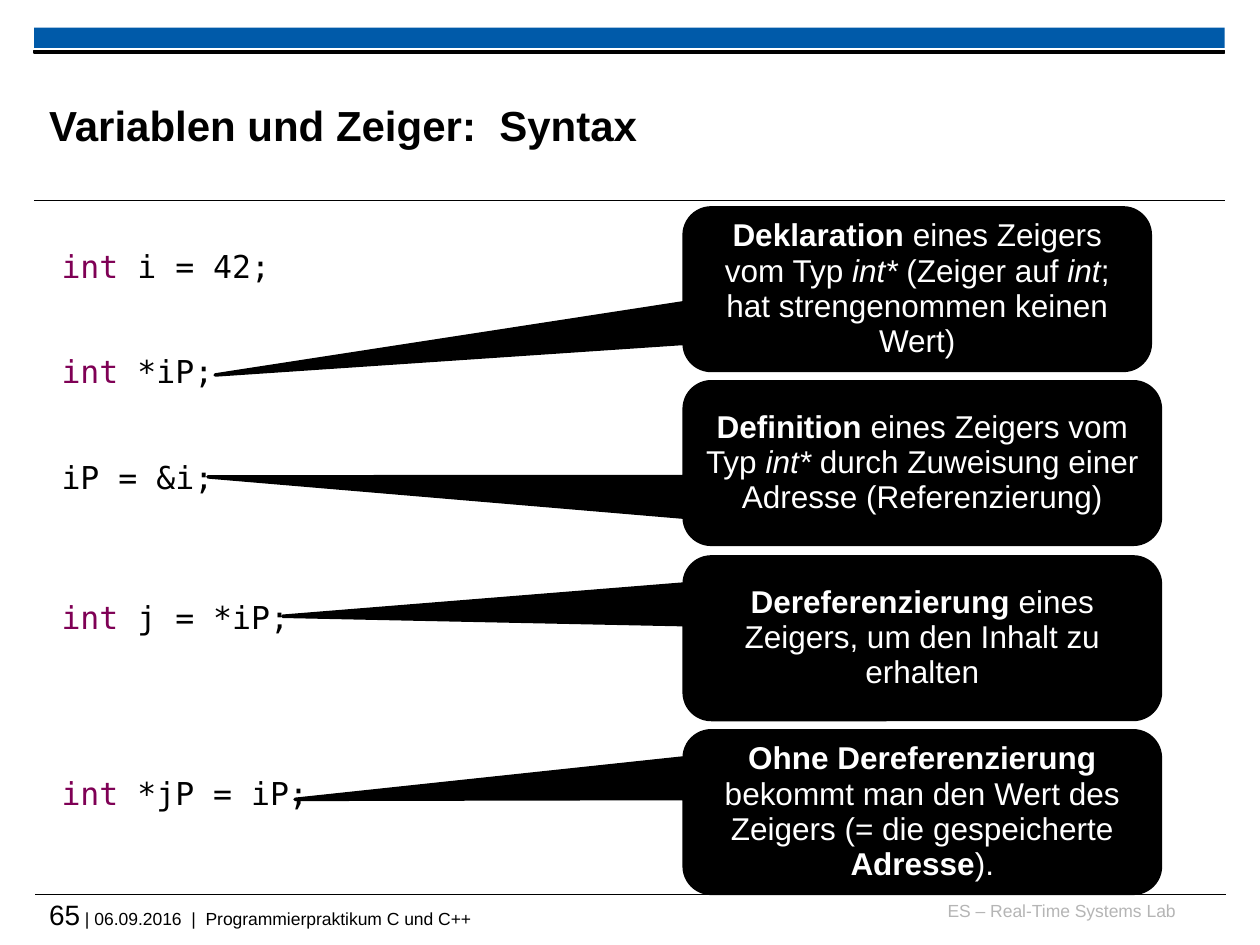
"""Build the slide on variable and pointer syntax in C."""
import pptx
import pptx.util
import pptx.dml.color
import pptx.enum.shapes
import pptx.enum.text
import pptx.oxml

Inches, Pt = pptx.util.Inches, pptx.util.Pt
RGBColor = pptx.dml.color.RGBColor
SHAPE = pptx.enum.shapes.MSO_SHAPE
ALIGN = pptx.enum.text.PP_ALIGN
ANCHOR = pptx.enum.text.MSO_ANCHOR

BLACK = RGBColor(0x00, 0x00, 0x00)
WHITE = RGBColor(0xFF, 0xFF, 0xFF)
BLUE = RGBColor(0x00, 0x5A, 0xA9)
GREY = RGBColor(0xB5, 0xB5, 0xB5)
KEYWORD = RGBColor(0x7F, 0x00, 0x55)

TITLE = "Variablen und Zeiger:  Syntax"
PAGE = "65"
FOOTER = " | 06.09.2016  |  Programmierpraktikum C und C++"
LAB = "ES – Real-Time Systems Lab"

CODE = [
    (0, "int", " i = 42;"),
    (2, "int", " *iP;"),
    (2, "", "iP = &i;"),
    (3, "int", " j = *iP;"),
    (4, "int", " *jP = iP;"),
]
CODE_PITCH = 20.1

CALLOUTS = [
    (1.65, 3.7, (-1.506, 0.528), [
        ("Deklaration ", "b"), ("eines Zeigers vom Typ ", ""), ("int* ", "i"),
        ("(Zeiger auf ", ""), ("int", "i"),
        ("; hat strengenommen keinen Wert)", "")]),
    (3.03, 3.78, (-1.5, 0.085), [
        ("Definition", "b"), (" eines Zeigers vom Typ ", ""), ("int*", "i"),
        (" durch Zuweisung einer Adresse (Referenzierung)", "")]),
    (4.42, 3.78, (-1.343, -0.135), [
        ("Dereferenzierung", "b"),
        (" eines Zeigers, um den Inhalt zu erhalten", "")]),
    (5.8, 3.78, (-1.317, -0.078), [
        ("Ohne Dereferenzierung ", "b"),
        ("bekommt man den Wert des Zeigers (= die gespeicherte ", ""),
        ("Adresse", "b"), (").", "")]),
]


def add_run(p, text, size, color, font="Arial", style=""):
    r = p.add_run()
    r.text = text
    r.font.name, r.font.size = font, Pt(size)
    r.font.bold, r.font.italic = "b" in style, "i" in style
    r.font.color.rgb = color


def remove_insets(tf):
    tf.margin_left = tf.margin_right = tf.margin_top = tf.margin_bottom = 0


def add_textbox(slide, left, top, width, height):
    tf = slide.shapes.add_textbox(
        Inches(left), Inches(top), Inches(width), Inches(height)).text_frame
    tf.word_wrap = True
    return tf


def add_filled(slide, kind, left, top, width, height, color):
    sp = slide.shapes.add_shape(
        kind, Inches(left), Inches(top), Inches(width), Inches(height))
    sp.shadow.inherit = False
    sp.fill.solid()
    sp.fill.fore_color.rgb = color
    return sp


def add_rule(slide, left, y):
    line = slide.shapes.add_connector(
        pptx.enum.shapes.MSO_CONNECTOR.STRAIGHT,
        Inches(left), Inches(y), Inches(left + 9.45), Inches(y))
    line.line.color.rgb = BLACK
    line.line.width = Pt(0.6)
    line._element.spPr.append(pptx.oxml.parse_xml(
        '<a:effectLst xmlns:a='
        '"http://schemas.openxmlformats.org/drawingml/2006/main"/>'))


def add_frame(slide):
    add_rule(slide, 0.28, 7.1)
    bar = add_filled(slide, SHAPE.RECTANGLE, 0.27, 0.22, 9.45, 0.16, BLUE)
    bar.line.fill.background()
    add_rule(slide, 0.27, 1.59)
    strip = add_filled(slide, SHAPE.RECTANGLE, 0.27, 0.4, 9.45, 0.02, BLACK)
    strip.line.color.rgb = BLACK
    strip.line.width = Pt(0.75)

    tf = add_textbox(slide, 7.36, 7.14, 1.97, 0.25)
    remove_insets(tf)
    tf.paragraphs[0].alignment = ALIGN.RIGHT
    add_run(tf.paragraphs[0], LAB, 10, GREY)

    tf = add_textbox(slide, 0.39, 7.12, 9.33, 0.33)
    remove_insets(tf)
    add_run(tf.paragraphs[0], PAGE, 16, BLACK)
    add_run(tf.paragraphs[0], FOOTER, 10, BLACK)


def add_title(slide):
    sp = slide.shapes.title
    sp.left, sp.top = Inches(0.39), Inches(0.53)
    sp.width, sp.height = Inches(7.52), Inches(0.92)
    tf = sp.text_frame
    remove_insets(tf)
    tf.auto_size = pptx.enum.text.MSO_AUTO_SIZE.NONE
    tf.vertical_anchor = ANCHOR.MIDDLE
    tf.paragraphs[0].alignment = ALIGN.LEFT
    add_run(tf.paragraphs[0], TITLE, 24, BLACK, style="b")


def add_code(slide):
    tf = add_textbox(slide, 0.39, 1.93, 5, 4.61)
    for n, (gap, keyword, rest) in enumerate(CODE):
        p = tf.add_paragraph() if n else tf.paragraphs[0]
        p.line_spacing = Pt(CODE_PITCH)
        if gap:
            p.space_before = Pt(gap * CODE_PITCH)
        if keyword:
            add_run(p, keyword, 18, KEYWORD, "DejaVu Sans Mono")
        add_run(p, rest, 18, BLACK, "DejaVu Sans Mono")


def add_callout(slide, top, width, tip, runs):
    sp = add_filled(slide, SHAPE.ROUNDED_RECTANGULAR_CALLOUT,
                    5.43, top, width, 1.29, BLACK)
    sp.adjustments[0], sp.adjustments[1] = tip
    sp.line.color.rgb = BLACK
    sp.line.width = Pt(2)
    tf = sp.text_frame
    tf.word_wrap = True
    tf.vertical_anchor = ANCHOR.MIDDLE
    p = tf.paragraphs[0]
    p.alignment = ALIGN.CENTER
    p.line_spacing = 0.93
    for text, style in runs:
        add_run(p, text, 18, WHITE, style=style)


def main():
    prs = pptx.Presentation()
    prs.slide_width, prs.slide_height = Inches(10), Inches(7.5)
    slide = prs.slides.add_slide(prs.slide_layouts[5])
    add_frame(slide)
    add_title(slide)
    add_code(slide)
    for callout in CALLOUTS:
        add_callout(slide, *callout)
    prs.save("out.pptx")


if __name__ == "__main__":
    main()
